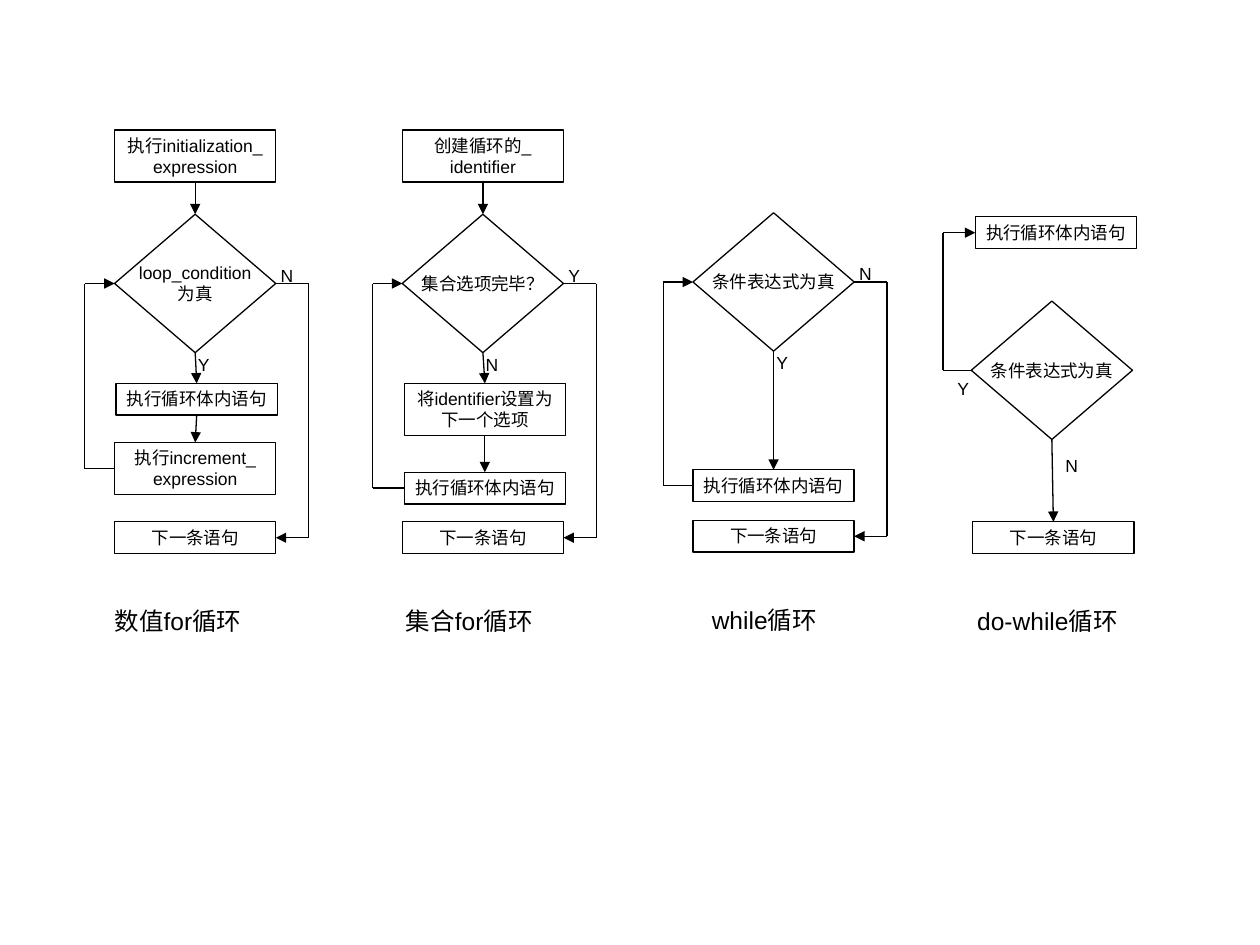
from lxml.etree import SubElement
from pptx import Presentation
from pptx.dml.color import RGBColor
from pptx.enum.shapes import MSO_CONNECTOR, MSO_SHAPE
from pptx.enum.text import MSO_ANCHOR, MSO_AUTO_SIZE, PP_ALIGN
from pptx.oxml.ns import qn
from pptx.util import Cm, Pt

BLACK = "000000"
NODE_W, DIAMOND_H = 3.25, 2.79
ONE_LINE, TWO_LINES = 0.64, 1.05
TOP, RIGHT, BOTTOM, LEFT = 0, 3, 2, 1


def color(value):
    return RGBColor.from_string(value)


def write(sp, text, size=10, align=PP_ALIGN.LEFT, anchor=MSO_ANCHOR.TOP,
          wrap=False, grow=True, inset=(0.25, 0.13)):
    tf = sp.text_frame
    tf.word_wrap = wrap
    tf.auto_size = MSO_AUTO_SIZE.SHAPE_TO_FIT_TEXT if grow else MSO_AUTO_SIZE.NONE
    tf.vertical_anchor = anchor
    tf.margin_left = tf.margin_right = Cm(inset[0])
    tf.margin_top = tf.margin_bottom = Cm(inset[1])
    tf.text = text
    for p in tf.paragraphs:
        p.alignment = align
        for r in p.runs:
            r.font.size = Pt(size)
            r.font.name = "Arial"
            r.font.color.rgb = color(BLACK)


def add_node(shapes, kind, x, y, h, text, **fmt):
    sp = shapes.add_shape(kind, Cm(x), Cm(y), Cm(NODE_W), Cm(h))
    sp.shadow.inherit = False
    sp.fill.background()
    sp.line.color.rgb = color(BLACK)
    sp.line.width = Pt(0.75)
    write(sp, text, align=PP_ALIGN.CENTER, **fmt)
    return sp


def add_step(shapes, x, y, h, text):
    return add_node(shapes, MSO_SHAPE.RECTANGLE, x, y, h, text,
                    wrap=True, inset=(0.1, 0.1))


def add_test(shapes, x, y, text):
    return add_node(shapes, MSO_SHAPE.DIAMOND, x, y, DIAMOND_H, text,
                    anchor=MSO_ANCHOR.MIDDLE, grow=False)


def add_label(shapes, x, y, text, w=0.75, h=0.69, size=10):
    write(shapes.add_textbox(Cm(x), Cm(y), Cm(w), Cm(h)), text, size=size)


def add_caption(shapes, x, y, text, w):
    add_label(shapes, x, y, text, w=w, h=0.86, size=14)


def site_point(sp, site):
    dx, dy = {TOP: (1, 0), LEFT: (0, 1), BOTTOM: (1, 2), RIGHT: (2, 1)}[site]
    return sp.left + sp.width * dx // 2, sp.top + sp.height * dy // 2


def add_line(shapes, start, end, begin=None, finish=None, arrow=False):
    line = shapes.add_connector(MSO_CONNECTOR.STRAIGHT, *start, *end)
    line.line.color.rgb = color(BLACK)
    line.line.width = Pt(0.75)
    if begin:
        line.begin_connect(*begin)
    if finish:
        line.end_connect(*finish)
    if arrow:
        SubElement(line.line._get_or_add_ln(), qn("a:tailEnd"), type="triangle")
    SubElement(line._element.spPr, qn("a:effectLst"))


def add_arrow(shapes, upper, lower):
    begin, finish = (upper, BOTTOM), (lower, TOP)
    add_line(shapes, site_point(*begin), site_point(*finish), begin, finish, True)


def add_detour(shapes, begin, finish, x):
    start, end = site_point(*begin), site_point(*finish)
    corner1, corner2 = (Cm(x), start[1]), (Cm(x), end[1])
    add_line(shapes, start, corner1, begin=begin)
    add_line(shapes, corner1, corner2)
    add_line(shapes, corner2, end, finish=finish, arrow=True)


def add_pretest_loop(s, x, y, test, steps, caption, dx, w, setup=None,
                     stay="Y", leave="N"):
    shapes = s.shapes.add_group_shape().shapes
    diamond = add_test(shapes, x, y + 1.7, test)
    if setup:
        add_arrow(shapes, add_step(shapes, x, y, TWO_LINES, setup), diamond)
    last = diamond
    for text, shift, top, h in steps:
        step = add_step(shapes, x + shift, y + top, h, text)
        add_arrow(shapes, last, step)
        last = step
    following = add_step(shapes, x, y + 7.9, ONE_LINE, "下一条语句")
    add_detour(shapes, (diamond, RIGHT), (following, RIGHT), x + 3.91)
    add_detour(shapes, (last, LEFT), (diamond, LEFT), x - 0.6)
    add_label(shapes, x + 3.1, y + 2.59, leave)
    add_label(shapes, x + 1.43, y + 4.38, stay)
    add_caption(shapes, x + dx, y + 9.47, caption, w)


def add_posttest_loop(s, x, y, test, caption, dx, w):
    shapes = s.shapes.add_group_shape().shapes
    body = add_step(shapes, x + 0.08, y, ONE_LINE, "执行循环体内语句")
    diamond = add_test(shapes, x, y + 1.7, test)
    following = add_step(shapes, x + 0.03, y + 6.15, ONE_LINE, "下一条语句")
    add_arrow(shapes, diamond, following)
    add_detour(shapes, (diamond, LEFT), (body, LEFT), x - 0.57)
    add_label(shapes, x + 1.65, y + 4.67, "N")
    add_label(shapes, x - 0.53, y + 3.12, "Y")
    add_caption(shapes, x + dx, y + 7.72, caption, w)


def main():
    prs = Presentation()
    prs.slide_width, prs.slide_height = Cm(25.4), Cm(19.05)
    s = prs.slides.add_slide(prs.slide_layouts[6])
    body = "执行循环体内语句"
    add_pretest_loop(
        s, 2.31, 2.62, "loop_condition\n为真",
        [(body, 0.03, 5.11, ONE_LINE),
         ("执行increment_ expression", 0, 6.3, TWO_LINES)],
        "数值for循环", -0.25, 3.3, setup="执行initialization_ expression")
    add_pretest_loop(
        s, 8.11, 2.62, "集合选项完毕？",
        [("将identifier设置为下一个选项", 0.04, 5.11, TWO_LINES),
         (body, 0.04, 6.9, ONE_LINE)],
        "集合for循环", -0.18, 3.3, setup="创建循环的_ identifier",
        stay="N", leave="Y")
    add_pretest_loop(
        s, 13.97, 2.59, "条件表达式为真", [(body, 0, 6.88, ONE_LINE)],
        "while循环", 0.13, 2.74)
    add_posttest_loop(s, 19.58, 4.37, "条件表达式为真", "do-while循环", -0.13, 3.45)
    prs.save("out.pptx")


if __name__ == "__main__":
    main()
